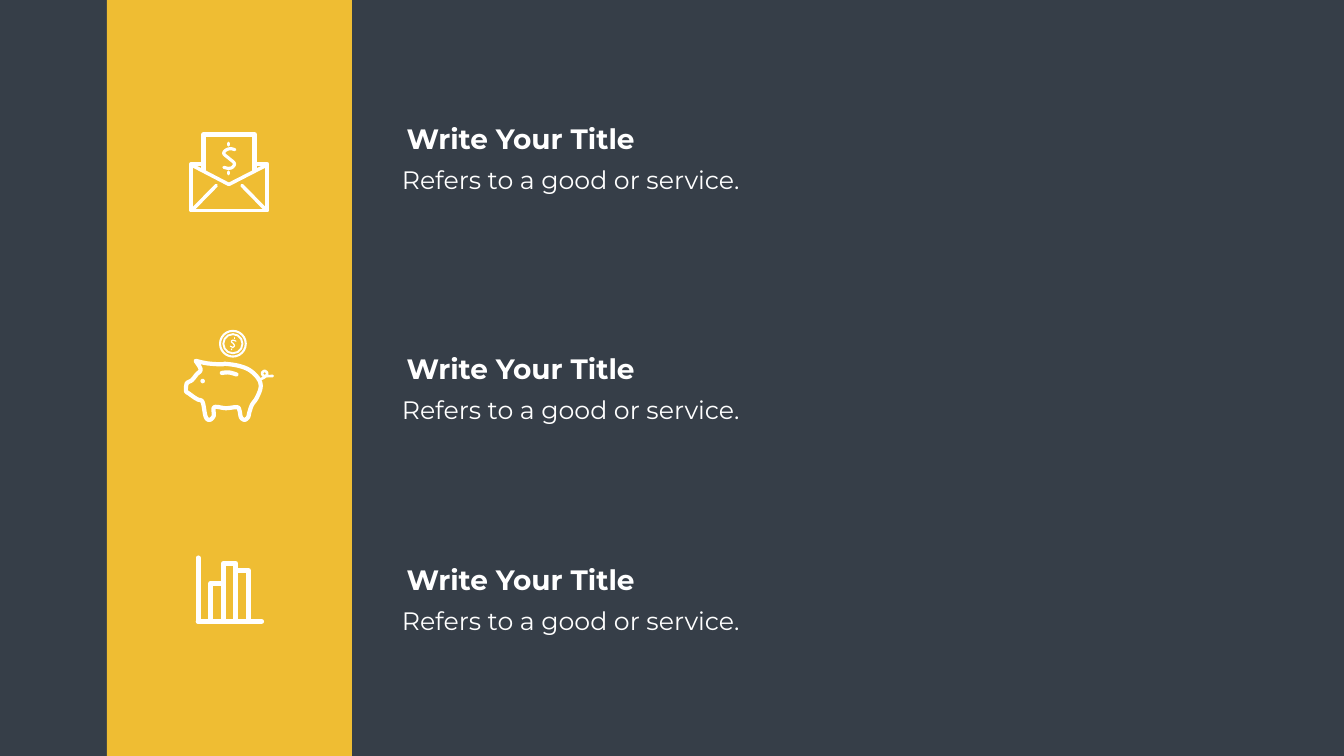
"""Build a slide with three icons on a yellow band and a titled text beside each."""
from pptx import Presentation
from pptx.dml.color import RGBColor
from pptx.enum.shapes import MSO_CONNECTOR, MSO_SHAPE
from pptx.enum.text import MSO_AUTO_SIZE
from pptx.oxml.ns import qn
from pptx.util import Inches, Pt
from lxml import etree

RECT, OVAL = MSO_SHAPE.RECTANGLE, MSO_SHAPE.OVAL
STRAIGHT = MSO_CONNECTOR.STRAIGHT
GROW = MSO_AUTO_SIZE.SHAPE_TO_FIT_TEXT

SLIDE_W, SLIDE_H = 26.66, 15
DARK, YELLOW, WHITE = "363E48", "EFBD33", "FFFFFF"
PANELS = [(0, SLIDE_W, DARK), (2.12, 4.86, YELLOW)]

ITEMS = [
    (2.36, "Write Your Title", "Refers to a good or service."),
    (6.93, "Write Your Title", "Refers to a good or service."),
    (11.11, "Write Your Title", "Refers to a good or service."),
]
TITLE = {"left": 7.97, "dy": 0, "size": (5.67, 0.77), "inset": (0.1, 0.05),
         "font": {"name": "Montserrat", "size": Pt(40), "bold": True}}
BODY = {"left": 7.73, "dy": 0.78, "size": (7.18, 0.85), "inset": (0.24, 0.12),
        "font": {"name": "Montserrat", "size": Pt(36), "bold": False}}

BAR_LEFT, BAR_W, BASE = 4.18, 0.25, 12.33
BAR_TOPS = [11.57, 11.18, 11.32]
BARS = [[(x, BASE), (x, top), (x + BAR_W, top), (x + BAR_W, BASE), (x, BASE)]
        for x, top in ((BAR_LEFT + i * BAR_W, t) for i, t in enumerate(BAR_TOPS))]

ENVELOPE = {
    "lines": [
        (5, [(4.04, 3.25), (3.79, 3.25), (3.79, 4.18), (5.3, 4.18), (5.3, 3.25), (5.05, 3.25)]),
        (5, [(4.54, 3.66), (5.3, 3.27)]),
        (5, [(3.79, 3.27), (4.54, 3.66)]),
        (5, [(4.8, 3.68), (5.29, 4.18)]),
        (5, [(4.29, 3.68), (3.81, 4.17)]),
        (7, [(4.04, 3.37), (4.04, 2.67), (5.05, 2.67), (5.05, 3.37)]),
        (4.5, [(4.54, 2.84), (4.54, 2.88)]),
        (4.5, [(4.54, 3.41), (4.54, 3.45)]),
    ],
    "curves": [
        (4.5, [(4.66, 2.97), (4.57, 2.95), (4.48, 2.98), (4.44, 3.05), (4.54, 3.14),
               (4.65, 3.24), (4.61, 3.32), (4.53, 3.34), (4.44, 3.32)]),
    ],
    "ovals": [],
}
PIG = {
    "lines": [
        (1.5, [(4.65, 6.7), (4.65, 6.72)]),
        (1.5, [(4.6, 6.92), (4.59, 6.94)]),
    ],
    "curves": [
        (6, [(3.88, 7.16), (4.11, 7.21), (4.39, 7.23), (4.48, 7.22), (4.74, 7.26),
             (4.96, 7.35), (5.13, 7.52), (5.17, 7.69), (5.09, 7.9), (5, 8.03),
             (4.95, 8.17), (4.92, 8.28), (4.85, 8.33), (4.78, 8.28), (4.75, 8.14),
             (4.7, 8.08), (4.48, 8.1), (4.25, 8.08), (4.24, 8.25), (4.16, 8.33),
             (4.08, 8.27), (4.02, 7.98), (3.93, 7.93), (3.86, 7.89), (3.75, 7.81),
             (3.69, 7.76), (3.7, 7.62), (3.74, 7.58), (3.81, 7.54), (3.9, 7.43),
             (3.98, 7.33), (3.88, 7.16)]),
        (3.75, [(5.12, 7.54), (5.24, 7.49), (5.3, 7.41), (5.25, 7.36), (5.2, 7.4),
                (5.24, 7.46), (5.41, 7.46)]),
        (6, [(4.4, 7.4), (4.54, 7.39), (4.69, 7.43)]),
        (1.75, [(4.68, 6.77), (4.62, 6.75), (4.59, 6.78), (4.63, 6.82), (4.65, 6.86),
                (4.62, 6.89), (4.57, 6.87)]),
    ],
    "ovals": [(4.62, 6.82, 0.51, 3), (4.62, 6.82, 0.38, 2.75), (4.02, 7.56, 0.09, 0)],
}
CHART = {
    "lines": [(7, [(3.93, 11.07), (3.93, BASE)]), (7, [(3.93, BASE), (5.19, BASE)]),
              *((7, bar) for bar in BARS)],
    "curves": [],
    "ovals": [],
}


def rgb(value):
    return RGBColor.from_string(value)


def smooth(points, steps=6):
    """Return points on a Catmull-Rom curve through the given points."""
    ends = [points[0], *points, points[-1]]
    curve = [points[0]]
    for a, b, c, d in zip(ends, ends[1:], ends[2:], ends[3:]):
        for t in (i / steps for i in range(1, steps + 1)):
            curve.append(tuple(
                (2 * q + (r - p) * t + (2 * p - 5 * q + 4 * r - w) * t ** 2
                 + (3 * q - p - 3 * r + w) * t ** 3) / 2
                for p, q, r, w in zip(a, b, c, d)))
    return curve


def stroke(shape, width):
    """Give a shape a white outline with round caps and joins."""
    shape.line.color.rgb = rgb(WHITE)
    shape.line.width = Pt(width)
    ln = shape.line._get_or_add_ln()
    ln.set("cap", "rnd")
    etree.SubElement(ln, qn("a:round"))


def add_line(shapes, width, points):
    start, *rest = [tuple(map(Inches, pt)) for pt in points]
    if len(rest) == 1:
        line = shapes.add_connector(STRAIGHT, *start, *rest[0])
        etree.SubElement(line._element.spPr, qn("a:effectLst"))
    else:
        builder = shapes.build_freeform(*start)
        builder.add_line_segments(rest, close=start == rest[-1])
        line = builder.convert_to_shape()
        line.shadow.inherit = False
        line.fill.background()
    stroke(line, width)


def add_oval(shapes, cx, cy, diameter, width):
    """Add a ring, or a solid dot when the width is zero."""
    left, top = cx - diameter / 2, cy - diameter / 2
    oval = shapes.add_shape(OVAL, *map(Inches, (left, top, diameter, diameter)))
    oval.shadow.inherit = False
    if width:
        oval.fill.background()
        stroke(oval, width)
    else:
        oval.fill.solid()
        oval.fill.fore_color.rgb = rgb(WHITE)
        oval.line.fill.background()


def add_icon(s, icon):
    shapes = s.shapes.add_group_shape().shapes
    for width, points in icon["lines"]:
        add_line(shapes, width, points)
    for width, points in icon["curves"]:
        add_line(shapes, width, smooth(points))
    for oval in icon["ovals"]:
        add_oval(shapes, *oval)


def add_text(s, top, text, style):
    tb = s.shapes.add_textbox(*map(Inches, (style["left"], top + style["dy"], *style["size"])))
    tf = tb.text_frame
    tf.word_wrap = True
    tf.auto_size = GROW
    tf.margin_left = tf.margin_right = Inches(style["inset"][0])
    tf.margin_top = tf.margin_bottom = Inches(style["inset"][1])
    r = tf.paragraphs[0].add_run()
    r.text = text
    for name, value in style["font"].items():
        setattr(r.font, name, value)
    r.font.color.rgb = rgb(WHITE)


def main():
    prs = Presentation()
    prs.slide_width, prs.slide_height = Inches(SLIDE_W), Inches(SLIDE_H)
    s = prs.slides.add_slide(prs.slide_layouts[6])
    for left, width, color in PANELS:
        sp = s.shapes.add_shape(RECT, *map(Inches, (left, 0, width, SLIDE_H)))
        sp.shadow.inherit = False
        sp.fill.solid()
        sp.fill.fore_color.rgb = rgb(color)
        sp.line.fill.background()
    for icon in (CHART, PIG, ENVELOPE):
        add_icon(s, icon)
    for top, title, body in ITEMS:
        add_text(s, top, title, TITLE)
        add_text(s, top, body, BODY)
    prs.save("out.pptx")


if __name__ == "__main__":
    main()
